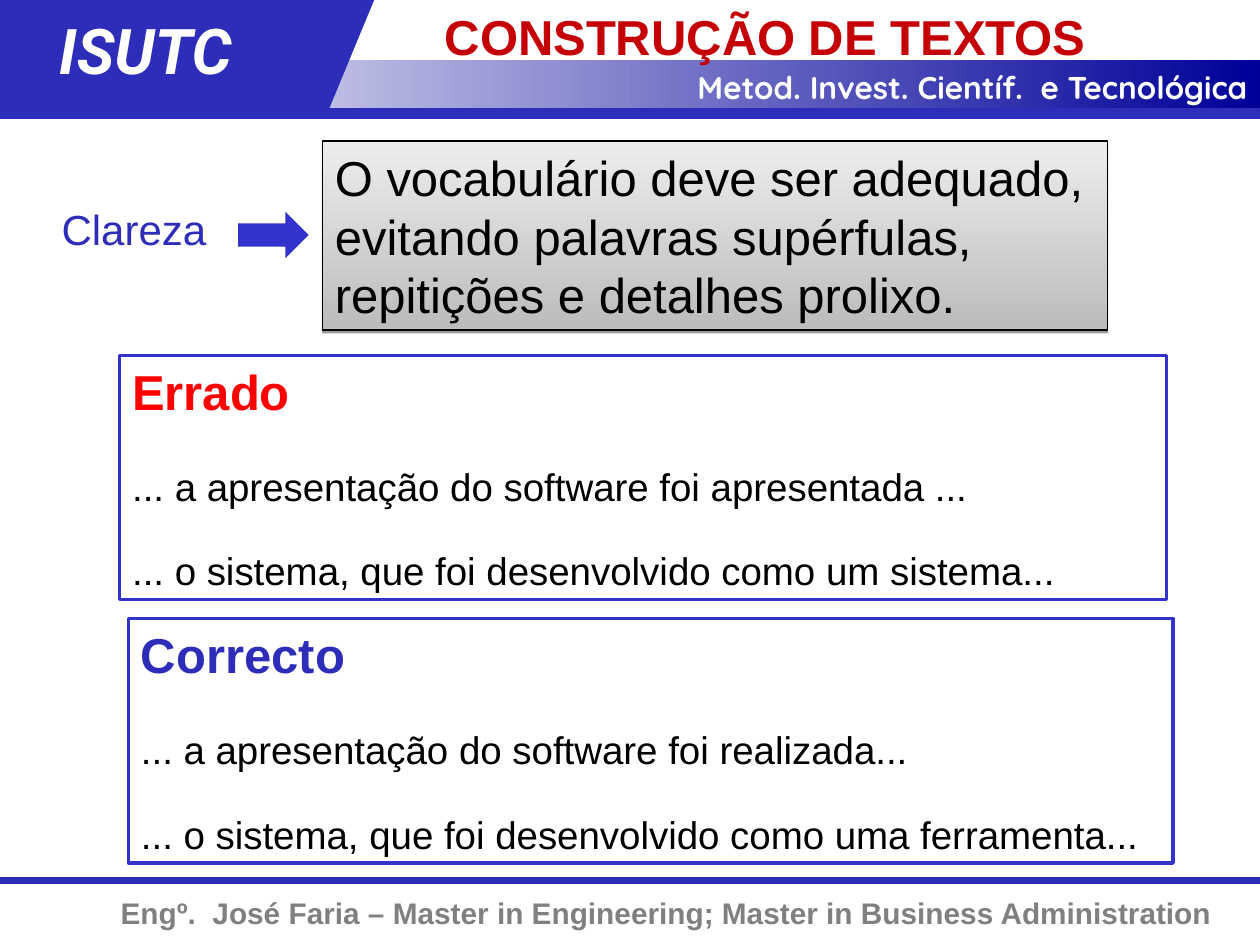
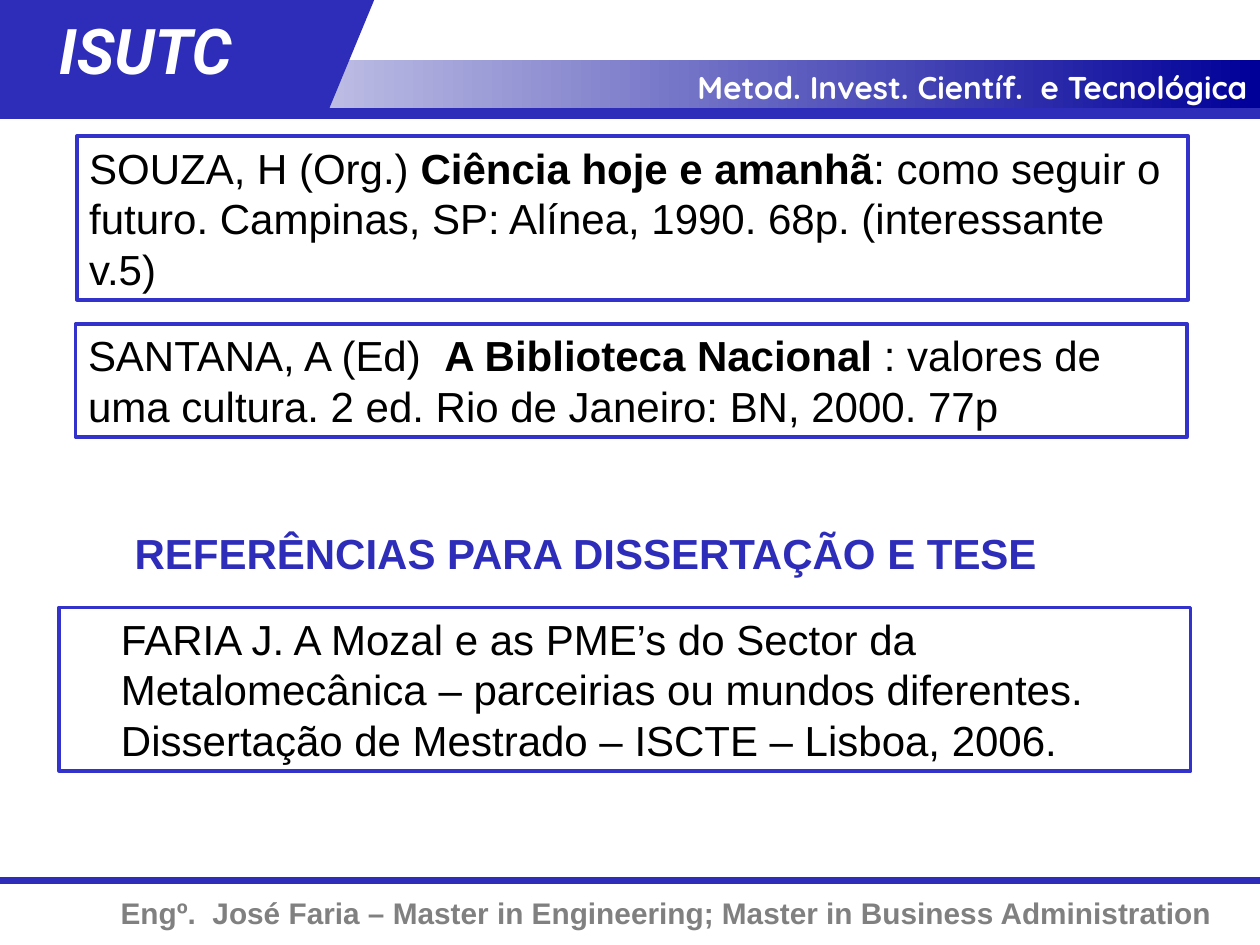
import pptx
import pptx.dml.color
import pptx.enum.shapes
import pptx.enum.text
import pptx.oxml
import pptx.oxml.ns
import pptx.util
from dataclasses import dataclass

Inches = pptx.util.Inches
Pt = pptx.util.Pt
SHAPE = pptx.enum.shapes.MSO_SHAPE
ALIGN = pptx.enum.text.PP_ALIGN


@dataclass(frozen=True)
class Theme:
    band: str = "2D2DB9"
    accent: str = "3333CC"
    navy: str = "000099"
    white: str = "FFFFFF"
    black: str = "000000"
    footer: str = "808080"
    title: str = "C40005"
    wrong: str = "FF0000"
    panel_dark: str = "BCBCBC"
    panel_light: str = "EDEDED"
    font: str = "Arial"
    course_font: str = "Quicksand"
    brand_font: str = "Roboto"
    brand_size: int = 36
    heading_size: int = 28
    body_size: int = 24
    example_size: int = 22
    course_size: int = 18
    footer_size: int = 17


def rgb(value):
    return pptx.dml.color.RGBColor.from_string(value)


class Deck:
    def __init__(self, theme):
        self.theme = theme
        self.presentation = pptx.Presentation()
        self.presentation.slide_width = Inches(10)
        self.presentation.slide_height = Inches(7.5)
        self.slide = None

    def new_slide(self):
        """Add a blank slide with the shared header and footer."""
        theme = self.theme
        self.slide = self.presentation.slides.add_slide(self.presentation.slide_layouts[6])
        self.line(6.99, 4)
        self.text((0, 7.05, 9.72, 0.39),
                  "Engº.  José Faria – Master in Engineering; Master in Business Administration",
                  alignment=ALIGN.RIGHT, size=theme.footer_size, color=theme.footer, bold=True)
        self.shape((0, 0.48, 10, 0.39), gradient=(theme.white, theme.navy))
        self.shape((1.17, 0, 1.8, 0.87), theme.band, SHAPE.FLOWCHART_DATA)
        self.shape((0, 0, 1.59, 0.87), theme.band)
        self.text((4.36, 0.49, 5.64, 0.4), "Metod. Invest. Científ.  e Tecnológica",
                  alignment=ALIGN.RIGHT, size=theme.course_size, name=theme.course_font,
                  color=theme.white, bold=True)
        self.text((0.37, 0.04, 1.93, 0.7), "ISUTC", size=theme.brand_size,
                  name=theme.brand_font, color=theme.white, bold=True, italic=True)
        self.line(0.9, 6)

    def line(self, y, width):
        """Draw a rule across the whole slide."""
        connector = self.slide.shapes.add_connector(
            pptx.enum.shapes.MSO_CONNECTOR.STRAIGHT,
            Inches(0), Inches(y), Inches(10), Inches(y))
        connector.line.color.rgb = rgb(self.theme.band)
        connector.line.width = Pt(width)
        connector._element.spPr.append(pptx.oxml.parse_xml(
            f"<a:effectLst {pptx.oxml.ns.nsdecls('a')}/>"))

    def shape(self, at, color=None, kind=SHAPE.RECTANGLE, gradient=None, angle=0,
              outline=None, outline_width=2):
        shape = self.slide.shapes.add_shape(kind, *map(Inches, at))
        shape.shadow.inherit = False
        if gradient:
            shape.fill.gradient()
            shape.fill.gradient_angle = angle
            for stop, value in zip(shape.fill.gradient_stops, gradient):
                stop.color.rgb = rgb(value)
        else:
            shape.fill.solid()
            shape.fill.fore_color.rgb = rgb(color)
        if outline:
            shape.line.color.rgb = rgb(outline)
            shape.line.width = Pt(outline_width)
        else:
            shape.line.fill.background()
        return shape

    def drop_shadow(self, shape):
        effects = shape._element.spPr.find(pptx.oxml.ns.qn("a:effectLst"))
        effects.append(pptx.oxml.parse_xml(
            f"<a:outerShdw {pptx.oxml.ns.nsdecls('a')} dist='{Pt(1.6)}' dir='5400000' "
            f"rotWithShape='0'><a:srgbClr val='{self.theme.black}'>"
            "<a:alpha val='38000'/></a:srgbClr></a:outerShdw>"))

    def add_paragraph(self, shape, runs, alignment=ALIGN.LEFT, left_inset=0.1, gap=None,
                      **format_values):
        """Fill one paragraph; runs is a string or (text, format) pairs.

        A gap in points adds the paragraph below those already there.
        """
        frame = shape.text_frame
        frame.word_wrap = True
        frame.vertical_anchor = pptx.enum.text.MSO_ANCHOR.TOP
        frame.margin_left = Inches(left_inset)
        paragraph = frame.paragraphs[0] if gap is None else frame.add_paragraph()
        paragraph.alignment = alignment
        if gap is not None:
            paragraph.space_before = Pt(gap)
        if isinstance(runs, str):
            runs = [(runs, {})]
        defaults = {"name": self.theme.font, "size": self.theme.body_size,
                    "color": self.theme.black, "bold": False}
        for text, run_format in runs:
            run = paragraph.add_run()
            run.text = text
            values = {**defaults, **format_values, **run_format}
            run.font.color.rgb = rgb(values.pop("color"))
            values["size"] = Pt(values["size"])
            for attribute, value in values.items():
                setattr(run.font, attribute, value)

    def text(self, at, runs, **options):
        self.add_paragraph(self.slide.shapes.add_textbox(*map(Inches, at)), runs, **options)

    def framed_box(self, at):
        return self.shape(at, self.theme.white, outline=self.theme.accent)

    def example_box(self, at, heading, color, examples):
        box = self.framed_box(at)
        self.add_paragraph(box, heading, size=self.theme.heading_size, color=color, bold=True)
        for example, gap in zip(examples, (24.3, 22)):
            self.add_paragraph(box, example, gap=gap, size=self.theme.example_size)

    def reference_box(self, at, runs, **options):
        self.add_paragraph(self.framed_box(at), runs, **options)


def clarity_slide(deck):
    theme = deck.theme
    deck.new_slide()
    deck.example_box((1.02, 4.91, 8.29, 1.94), "Correcto", theme.band, [
        "... a apresentação do software foi realizada...",
        "... o sistema, que foi desenvolvido como uma ferramenta..."])
    deck.example_box((0.95, 2.82, 8.31, 1.94), "Errado", theme.wrong, [
        "... a apresentação do software foi apresentada ...",
        "... o sistema, que foi desenvolvido como um sistema..."])
    rule_box = deck.shape((2.56, 1.12, 6.23, 1.5),
                          gradient=(theme.panel_dark, theme.panel_light), angle=90,
                          outline=theme.black, outline_width=0.75)
    deck.drop_shadow(rule_box)
    deck.add_paragraph(rule_box, "O vocabulário deve ser adequado, evitando palavras "
                       "supérfulas, repitições e detalhes prolixo.", size=theme.heading_size)
    deck.text((0.39, 1.57, 1.45, 0.5), "Clareza", color=theme.band)
    deck.shape((1.89, 1.68, 0.56, 0.37), theme.accent, SHAPE.RIGHT_ARROW)
    deck.text((3, 0, 7, 0.48), "CONSTRUÇÃO DE TEXTOS", left_inset=0.53,
              size=theme.heading_size, color=theme.title, bold=True)


def references_slide(deck):
    bold = {"bold": True}
    deck.new_slide()
    deck.reference_box((0.61, 1.08, 8.82, 1.3), [
        ("SOUZA, H (Org.) ", {}),
        ("Ciência hoje e amanhã", bold),
        (": como seguir o futuro. Campinas, SP: Alínea, 1990. 68p. (interessante v.5)", {})])
    deck.reference_box((0.6, 2.57, 8.82, 0.9), [
        ("SANTANA, A (Ed)  ", {}),
        ("A Biblioteca Nacional ", bold),
        (": valores de uma cultura. 2 ed. Rio de Janeiro: BN, 2000. 77p", {})])
    deck.text((0.97, 4.14, 8.45, 0.5), "REFERÊNCIAS PARA DISSERTAÇÃO E TESE",
              color=deck.theme.band, bold=True)
    deck.reference_box((0.47, 4.82, 8.98, 1.3),
                       "FARIA J. A Mozal e as PME’s do Sector da Metalomecânica – parceirias "
                       "ou mundos diferentes. Dissertação de Mestrado – ISCTE – Lisboa, 2006.",
                       left_inset=0.49)


def main():
    deck = Deck(Theme())
    clarity_slide(deck)
    references_slide(deck)
    deck.presentation.save("out.pptx")


if __name__ == "__main__":
    main()
